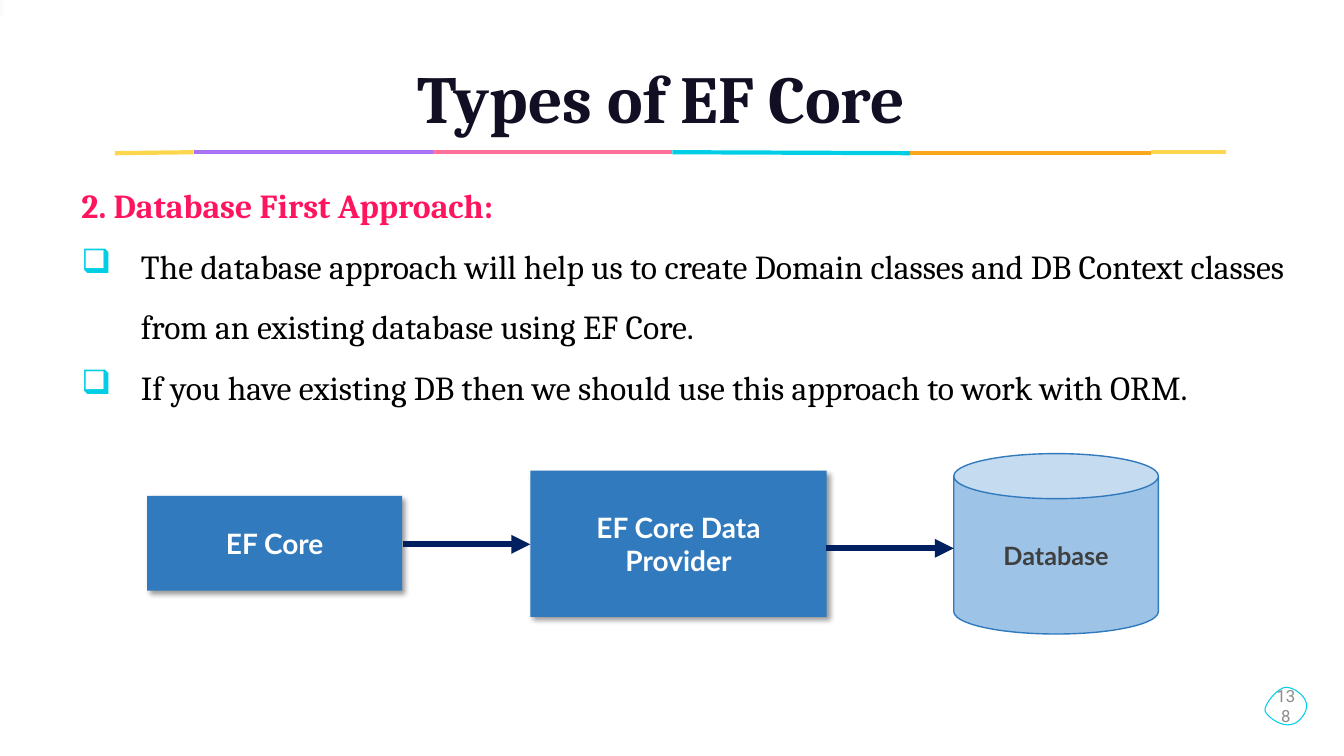
from lxml.etree import SubElement
from pptx import Presentation
from pptx.dml.color import RGBColor
from pptx.enum.shapes import MSO_CONNECTOR as Connector, MSO_SHAPE as Shape
from pptx.enum.text import MSO_ANCHOR as Anchor, PP_ALIGN as Align
from pptx.oxml.ns import qn
from pptx.util import Emu, Pt

PX = 9144


def px(length):
    """Turn hundredths of an inch into EMU."""
    return Emu(round(length * PX))


def color(hex_code):
    """Turn a hex string into a colour."""
    return RGBColor.from_string(hex_code)


class SlideBuilder:
    """Draws styled elements on one slide."""

    SERIF, NODE_FONT, NUMBER_FONT = "Cambria", "Lato", "Roboto"
    NAVY, BLUE, PALE_BLUE, CYAN = "002060", "317ABD", "9DC3E6", "00CEE4"
    INK, PINK, BLACK, WHITE = "120E23", "FF145E", "000000", "FFFFFF"
    DARK_GREY, GREY, EDGE = "3F3F3F", "8C8C8C", "F9FAFC"

    def __init__(self, slide):
        """Keep the slide to draw on."""
        self.slide = slide
        self.shapes = slide.shapes

    def style(self, paragraph, text, font, size, hex_code, bold=False,
              align=Align.CENTER, spacing=None):
        """Fill a paragraph with text in one style."""
        paragraph.text = text
        paragraph.alignment = align
        if spacing:
            paragraph.line_spacing = spacing
        paragraph.font.name = font
        paragraph.font.size = Pt(size)
        paragraph.font.bold = bold
        paragraph.font.color.rgb = color(hex_code)

    def frame(self, box, anchor, margin=10, top=5, bottom=5):
        """Set up the text frame of a box."""
        frame = box.text_frame
        frame.word_wrap = True
        frame.vertical_anchor = anchor
        frame.margin_left = frame.margin_right = px(margin)
        frame.margin_top, frame.margin_bottom = px(top), px(bottom)
        return frame

    def text_box(self, area, anchor, bottom=5):
        """Add a wrapping text box and return its frame."""
        box = self.shapes.add_textbox(*map(px, area))
        return self.frame(box, anchor, bottom=bottom)

    def bullet(self, paragraph, symbol, indent):
        """Give a paragraph a hanging bullet."""
        properties = paragraph._p.get_or_add_pPr()
        properties.set("marL", str(px(indent)))
        properties.set("indent", str(-px(indent)))
        bullet_color = SubElement(properties, qn("a:buClr"))
        SubElement(bullet_color, qn("a:srgbClr"), val=self.CYAN)
        SubElement(properties, qn("a:buChar"), char=symbol)

    def outline(self, shape, hex_code, width):
        """Draw or remove the outline of a shape."""
        if hex_code:
            shape.line.color.rgb = color(hex_code)
            shape.line.width = Pt(width)
        else:
            shape.line.fill.background()

    def block(self, kind, area, fill, line=None):
        """Add a flat filled shape."""
        block = self.shapes.add_shape(kind, *map(px, area))
        block.shadow.inherit = False
        block.fill.solid()
        block.fill.fore_color.rgb = color(fill)
        self.outline(block, line, 1)
        return block

    def node(self, kind, area, label, fill, size, hex_code, line=None):
        """Add a labelled diagram node."""
        node = self.block(kind, area, fill, line)
        frame = self.frame(node, Anchor.MIDDLE, margin=15)
        self.style(frame.paragraphs[0], label, self.NODE_FONT, size, hex_code, True)
        return node

    def drop_shadow(self, shape):
        """Cast a soft shadow to the lower right."""
        effects = shape._element.spPr.find(qn("a:effectLst"))
        shadow = SubElement(effects, qn("a:outerShdw"), blurRad=str(Pt(4)),
                            dist=str(Pt(3)), dir="2700000", algn="tl",
                            rotWithShape="0")
        shade = SubElement(shadow, qn("a:srgbClr"), val=self.BLACK)
        SubElement(shade, qn("a:alpha"), val="40000")

    def line(self, start, end, hex_code, width, arrow=False):
        """Add a straight line, with an arrowhead if asked."""
        line = self.shapes.add_connector(
            Connector.STRAIGHT, *map(px, (*start, *end)))
        self.outline(line, hex_code, width)
        if arrow:
            SubElement(line.line._get_or_add_ln(), qn("a:tailEnd"), type="triangle")
        SubElement(line._element.spPr, qn("a:effectLst"))

    def badge(self, start, curves, number):
        """Add a page number in a closed outline of Bézier curves."""
        points, corner = [], start
        for first, second, end in curves:
            for step in range(1, 13):
                t = step / 12
                weights = ((1 - t) ** 3, 3 * t * (1 - t) ** 2,
                           3 * t * t * (1 - t), t ** 3)
                anchors = (corner, first, second, end)
                points.append(tuple(
                    px(sum(w * a[axis] for w, a in zip(weights, anchors)))
                    for axis in (0, 1)))
            corner = end
        builder = self.shapes.build_freeform(*map(px, start))
        builder.add_line_segments(points, close=True)
        badge = builder.convert_to_shape()
        badge.shadow.inherit = False
        badge.fill.background()
        self.outline(badge, self.CYAN, 0.75)
        frame = self.frame(badge, Anchor.MIDDLE)
        self.style(frame.paragraphs[0], number, self.NUMBER_FONT, 12, self.GREY)


def main():
    """Build the slide and save it."""
    deck = Presentation()
    deck.slide_width, deck.slide_height = px(1333), px(750)
    page = SlideBuilder(deck.slides.add_slide(deck.slide_layouts[6]))

    rule = [
        ((114, 152), (192, 151), "FED64E"),
        ((192, 151), (429, 151), "A773F4"),
        ((429, 151), (667, 151), "FF709D"),
        ((667, 151), (903, 152), "00CEE4"),
        ((903, 152), (1142, 152), "F9A81D"),
        ((1142, 151), (1216, 151), "FED64E"),
    ]
    for start, end, hue in rule:
        page.line(start, end, hue, 3)

    title = page.text_box((71, 50, 1184, 89), Anchor.BOTTOM, bottom=3)
    page.style(title.paragraphs[0], "Types of EF Core ", page.SERIF, 48,
               page.INK, True, spacing=1.7)

    body = page.text_box((71, 159, 1234, 470), Anchor.TOP)
    page.style(body.paragraphs[0], "2. Database First Approach:", page.SERIF, 24,
               page.PINK, True, Align.LEFT, 1.5)
    points = [
        "The database approach will help us to create Domain classes and "
        "DB Context classes from an existing database using EF Core.",
        "If you have existing DB then we should use this approach to work with ORM.",
    ]
    for point in points:
        paragraph = body.add_paragraph()
        page.bullet(paragraph, "❑", 59)
        page.style(paragraph, point, page.SERIF, 24, page.BLACK,
                   align=Align.LEFT, spacing=1.5)

    page.badge((1277, 682), [
        ((1286, 683), (1305, 696), (1291, 712)),
        ((1278, 729), (1257, 711), (1255, 706)),
        ((1252, 701), (1268, 680), (1277, 682)),
    ], "138")
    page.block(Shape.RECTANGLE, (0, 0, 3, 15), page.EDGE)

    page.node(Shape.CAN, (946, 450, 203, 179), "Database", page.PALE_BLUE, 18,
              page.DARK_GREY, page.BLUE)
    for label, area in (("EF Core Data Provider", (526, 467, 294, 145)),
                        ("EF Core", (146, 492, 253, 94))):
        page.drop_shadow(page.node(Shape.RECTANGLE, area, label, page.BLUE, 20,
                                   page.WHITE))
    for left, right, y in ((400, 526, 540), (819, 946, 544)):
        page.line((left, y), (right, y), page.NAVY, 4.5, arrow=True)

    deck.save("out.pptx")


if __name__ == "__main__":
    main()
